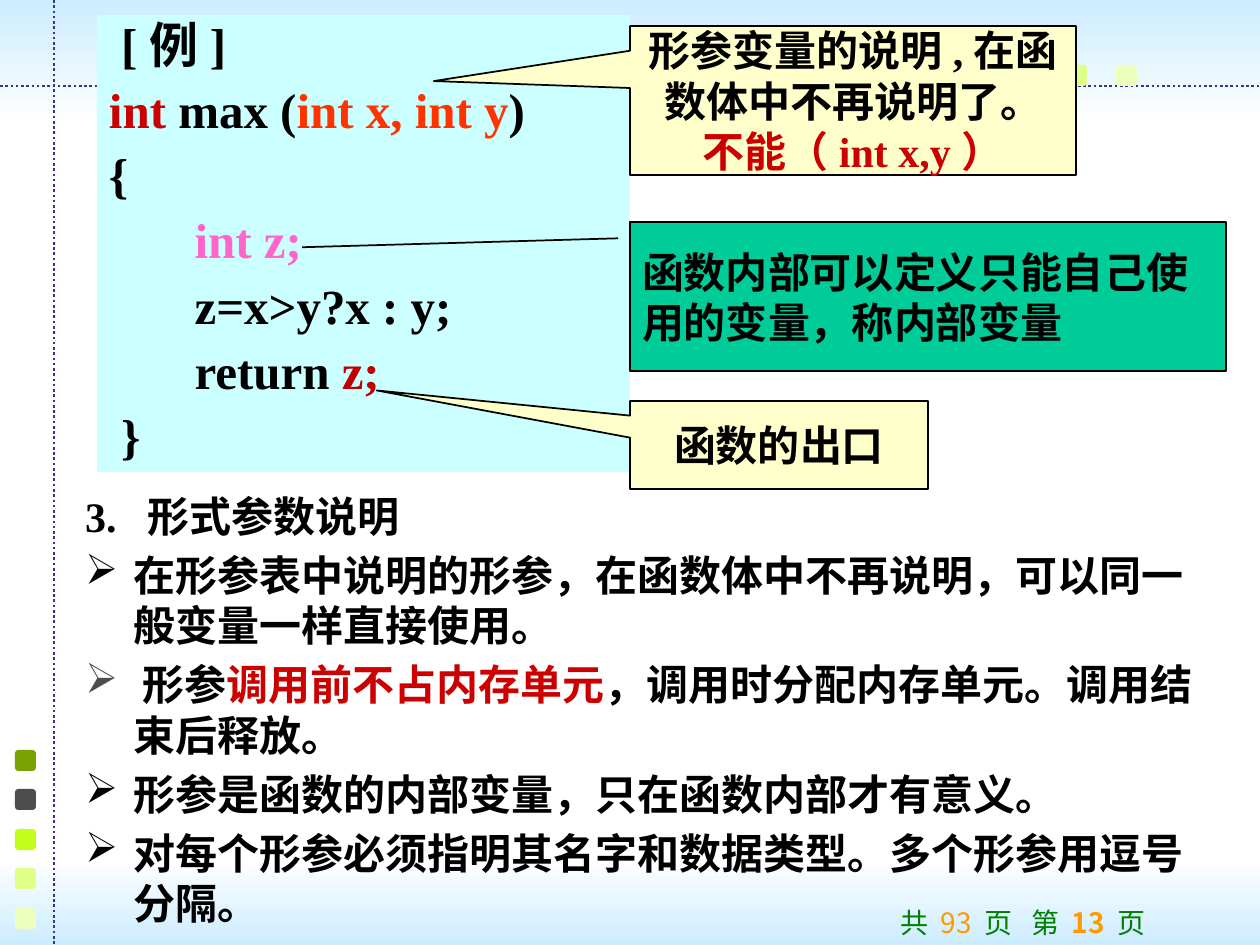
from dataclasses import dataclass

from lxml import etree
from pptx import Presentation
from pptx.dml.color import RGBColor
from pptx.enum.dml import MSO_LINE
from pptx.enum.shapes import MSO_CONNECTOR, MSO_SHAPE
from pptx.enum.text import MSO_ANCHOR, PP_ALIGN
from pptx.oxml.ns import qn
from pptx.util import Pt

RECTANGLE, ROUNDED = MSO_SHAPE.RECTANGLE, MSO_SHAPE.ROUNDED_RECTANGLE
WEDGE, LINE_CALLOUT = MSO_SHAPE.RECTANGULAR_CALLOUT, MSO_SHAPE.LINE_CALLOUT_1
LEFT, CENTER = PP_ALIGN.LEFT, PP_ALIGN.CENTER
TOP, MIDDLE = MSO_ANCHOR.TOP, MSO_ANCHOR.MIDDLE

EMU_PER_PX = 914400 / 126
WIDTH, HEIGHT = 1260, 945
INSET_X, INSET_Y = 12, 6
HANGING = 48

SERIF, SANS = "Times New Roman", "Noto Sans CJK SC"
BLACK, WHITE, SKY, NAVY = "000000", "FFFFFF", "CCECFF", "333399"
RED, ORANGE, PINK, DARK_RED = "CC0000", "FF3300", "FF66CC", "C00000"
GRAY, GREEN, AMBER = "4D4D4D", "008000", "FF9900"
CYAN, CREAM, TEAL = "CCFFFF", "FFFFCC", "00CC99"
SQUARE_COLORS = ["78A200", GRAY, "C3FF1B", "E0FF87", "EEFFBD"]


@dataclass
class Span:
    text: str
    color: str = BLACK
    bold: bool = True


@dataclass
class Para:
    spans: list[Span]
    hanging: int = 0
    bullet: str = ""
    tab: int = 0


@dataclass
class TextStyle:
    size: int = 24
    font: str = SERIF
    align: PP_ALIGN = LEFT
    anchor: MSO_ANCHOR = TOP
    before: float = 0
    line_spacing: float = 1.0


@dataclass
class Callout:
    kind: MSO_SHAPE
    box: tuple[int, int, int, int]
    adjustments: list[float]
    fill: str
    align: PP_ALIGN
    paras: list[Para]


CODE = [
    Para([Span(" [例]")], HANGING),
    Para([Span("int", RED), Span(" max ("), Span("int x, int y", ORANGE), Span(")")], HANGING),
    Para([Span("{")], HANGING),
    Para([Span("       "), Span("int z;", PINK)], HANGING),
    Para([Span("       z=x>y?x : y;")], HANGING),
    Para([Span("       return "), Span("z;", DARK_RED)], HANGING),
    Para([Span(" }")], HANGING),
]
NOTES = [
    Para([Span("3.\t形式参数说明")], 62),
    Para([Span("在形参表中说明的形参，在函数体中不再说明，可以同一般变量一样直接使用。")], HANGING, "➢"),
    Para([Span(" ", GRAY), Span("形参"), Span("调用前不占内存单元", RED),
          Span("，调用时分配内存单元。调用结束后释放。")], HANGING, "➢"),
    Para([Span("形参是函数的内部变量，只在函数内部才有意义。")], HANGING, "➢"),
    Para([Span("对每个形参必须指明其名字和数据类型。多个形参用逗号分隔。")], HANGING, "➢"),
]
PAGE_NUMBER = [
    Para([Span("共 ", GREEN, False), Span("93 ", AMBER, False), Span("页\t第 ", GREEN, False),
          Span("13 ", AMBER), Span("页", GREEN, False)], tab=131),
]
CALLOUTS = [
    Callout(WEDGE, (630, 26, 446, 149), [-0.94, -0.13], CREAM, CENTER,
            [Para([Span("形参变量的说明,在函数体中不再说明了。")]),
             Para([Span("不能（int x,y）", RED)])]),
    Callout(LINE_CALLOUT, (630, 222, 596, 149), [0.11, -0.02, 0.17, -0.55], TEAL, LEFT,
            [Para([Span("函数内部可以定义只能自己使用的变量，称内部变量")])]),
    Callout(WEDGE, (630, 401, 298, 88), [-1.35, -0.62], CREAM, CENTER,
            [Para([Span("函数的出口")])]),
]


def px(length: int) -> int:
    return round(length * EMU_PER_PX)


def rgb(color: str) -> RGBColor:
    return RGBColor.from_string(color)


def set_all(target, values: dict) -> None:
    for name, value in values.items():
        setattr(target, name, value)


def spread(first: int, last: int, count: int) -> list[int]:
    """Return evenly spaced positions from first to last."""
    return [first + (last - first) * i // (count - 1) for i in range(count)]


def add_block(page, kind: MSO_SHAPE, box: tuple, color: str):
    shape = page.shapes.add_shape(kind, *map(px, box))
    shape.shadow.inherit = False
    shape.fill.solid()
    shape.fill.fore_color.rgb = rgb(color)
    shape.line.fill.background()
    return shape


def add_band(page, box: tuple, top_color: str, bottom_color: str) -> None:
    fill = add_block(page, RECTANGLE, box, WHITE).fill
    fill.gradient()
    fill.gradient_angle = 270
    for stop, color in zip(fill.gradient_stops, (top_color, bottom_color)):
        stop.color.rgb = rgb(color)


def add_dotted_line(page, ends: tuple) -> None:
    line = page.shapes.add_connector(MSO_CONNECTOR.STRAIGHT, *map(px, ends))
    line.line.color.rgb = rgb(NAVY)
    set_all(line.line, {"width": Pt(1.5), "dash_style": MSO_LINE.ROUND_DOT})
    etree.SubElement(line._element.spPr, qn("a:effectLst"))


def format_indent(para, content: Para) -> None:
    properties = para._p.get_or_add_pPr()
    if content.hanging:
        properties.set("marL", str(px(content.hanging)))
        properties.set("indent", str(-px(content.hanging)))
    if content.bullet:
        etree.SubElement(properties, qn("a:buChar"), char=content.bullet)
    if content.tab:
        tabs = etree.SubElement(properties, qn("a:tabLst"))
        etree.SubElement(tabs, qn("a:tab"), pos=str(px(content.tab)), algn="l")


def write(frame, paras: list[Para], style: TextStyle) -> None:
    set_all(frame, {
        "word_wrap": True, "vertical_anchor": style.anchor,
        "margin_left": px(INSET_X), "margin_right": px(INSET_X),
        "margin_top": px(INSET_Y), "margin_bottom": px(INSET_Y),
    })
    for index, content in enumerate(paras):
        para = frame.add_paragraph() if index else frame.paragraphs[0]
        format_indent(para, content)
        set_all(para, {"alignment": style.align, "line_spacing": style.line_spacing,
                       "space_before": Pt(style.before if index else 0)})
        for span in content.spans:
            run = para.add_run()
            run.text = span.text
            set_all(run.font, {"name": style.font, "size": Pt(style.size), "bold": span.bold})
            run.font.color.rgb = rgb(span.color)


def add_text(page, box: tuple, paras: list[Para], style: TextStyle) -> None:
    write(page.shapes.add_textbox(*map(px, box)).text_frame, paras, style)


def add_callout(page, callout: Callout) -> None:
    shape = add_block(page, callout.kind, callout.box, callout.fill)
    for index, value in enumerate(callout.adjustments):
        shape.adjustments[index] = value
    shape.line.color.rgb = rgb(BLACK)
    shape.line.width = Pt(1)
    write(shape.text_frame, callout.paras, TextStyle(align=callout.align, anchor=MIDDLE))


def add_background(page) -> None:
    add_band(page, (0, 0, WIDTH, 125), SKY, WHITE)
    add_band(page, (0, 859, WIDTH, 86), WHITE, SKY)
    add_dotted_line(page, (0, 86, WIDTH, 86))
    count = len(SQUARE_COLORS)
    for color, left, top in zip(SQUARE_COLORS, spread(917, 1116, count), spread(750, 908, count)):
        add_block(page, ROUNDED, (left, 65, 21, 21), color)
        add_block(page, ROUNDED, (15, top, 21, 21), color)
    add_dotted_line(page, (54, 0, 54, HEIGHT))


def main() -> None:
    deck = Presentation()
    set_all(deck, {"slide_width": px(WIDTH), "slide_height": px(HEIGHT)})
    page = deck.slides.add_slide(deck.slide_layouts[6])
    add_background(page)
    add_text(page, (888, 900, 331, 45), PAGE_NUMBER, TextStyle(16, SANS))
    code = add_block(page, RECTANGLE, (97, 15, 533, 457), CYAN)
    write(code.text_frame, CODE, TextStyle(28, before=7, line_spacing=0.9))
    add_text(page, (73, 484, 1152, 436), NOTES, TextStyle(before=5))
    for callout in CALLOUTS:
        add_callout(page, callout)
    deck.save("out.pptx")


if __name__ == "__main__":
    main()
